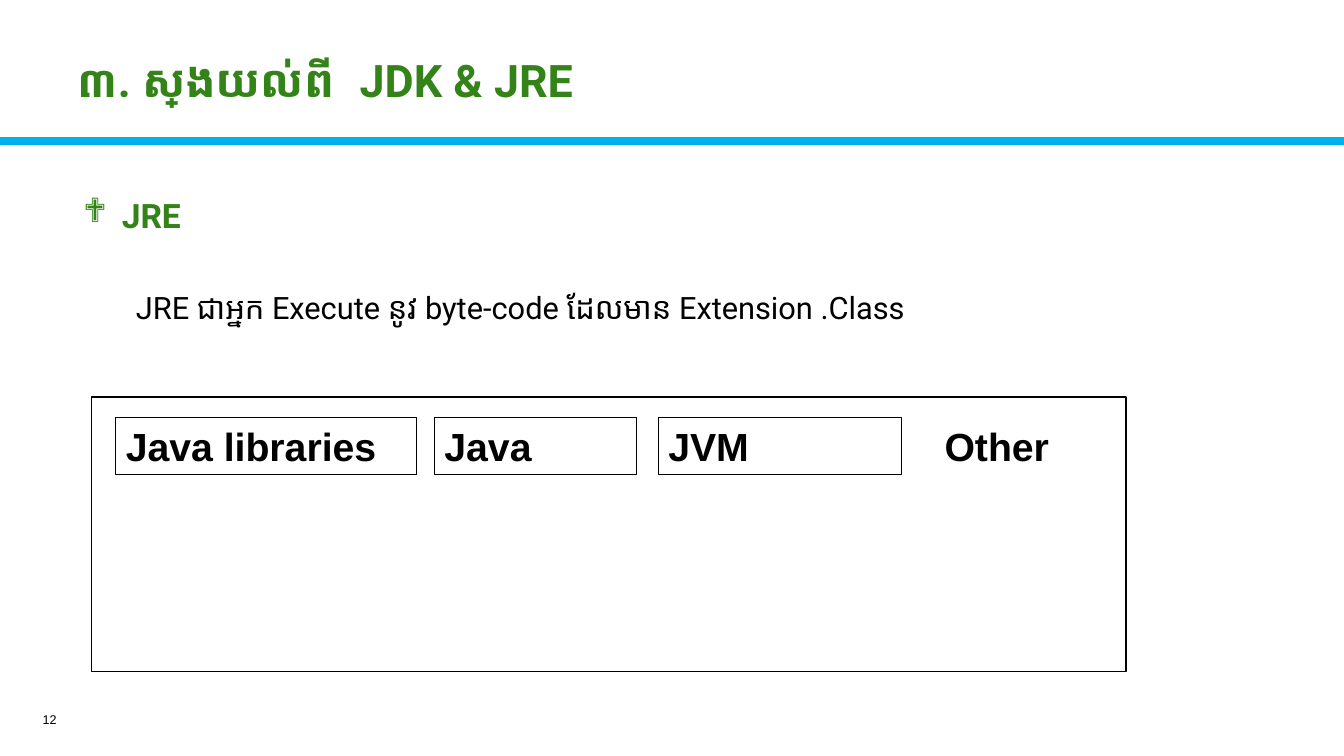
import lxml.etree
import pptx
import pptx.dml.color
import pptx.enum.shapes
import pptx.enum.text
import pptx.oxml.ns
import pptx.util

inch, pt = pptx.util.Inches, pptx.util.Pt
rgb = pptx.dml.color.RGBColor.from_string
qn = pptx.oxml.ns.qn
align = pptx.enum.text.PP_ALIGN
anchor = pptx.enum.text.MSO_ANCHOR
rect = pptx.enum.shapes.MSO_SHAPE.RECTANGLE

# Theme: colours and type styles
theme = {
    "white": "FFFFFF", "black": "000000", "green": "348319", "blue": "00B0EA",
    "title": {"name": "Roboto", "size": pt(32), "bold": True},
    "head": {"name": "Roboto", "size": pt(24), "bold": True},
    "body": {"name": "Roboto", "size": pt(22), "bold": False},
    "label": {"name": "Arial", "size": pt(28), "bold": True},
    "page": {"name": "Arial", "size": pt(9), "bold": False},
}


def place(shape, left, top, width, height):
    spot = {"left": left, "top": top, "width": width, "height": height}
    for key, val in spot.items():
        setattr(shape, key, inch(val))


def write(shape, text, style, hue="black", side=align.LEFT, hold=anchor.TOP):
    frame = shape.text_frame
    form = {"word_wrap": True, "vertical_anchor": hold,
            "auto_size": pptx.enum.text.MSO_AUTO_SIZE.NONE}
    for key, val in form.items():
        setattr(frame, key, val)
    para = frame.paragraphs[0]
    para.alignment = side
    run = para.add_run()
    run.text = text
    for key, val in theme[style].items():
        setattr(run.font, key, val)
    run.font.color.rgb = rgb(theme[hue])
    return para


# Slide
deck = pptx.Presentation()
deck.slide_width, deck.slide_height = inch(13.33), inch(7.5)
slide = deck.slides.add_slide(deck.slide_layouts[5])
shapes = slide.shapes
slide.background.fill.solid()
slide.background.fill.fore_color.rgb = rgb(theme["white"])

# Rule under the title
rule = shapes.add_connector(pptx.enum.shapes.MSO_CONNECTOR.STRAIGHT,
                            0, inch(1.4), deck.slide_width, inch(1.4))
rule.line.color.rgb = rgb(theme["blue"])
rule.line.width = pt(6)
lxml.etree.SubElement(rule.line._get_or_add_ln().getparent(), qn("a:effectLst"))

# Title
place(shapes.title, 0.67, 0.27, 12.02, 1.11)
para = write(shapes.title, "៣. ស្វែងយល់ពី  JDK & JRE", "title", "green",
             hold=anchor.MIDDLE)
para.line_spacing = 0.9

# Page number
page = shapes.add_textbox(0, 0, 0, 0)
place(page, 0.09, 6.99, 0.57, 0.3)
write(page, "12", "page", side=align.RIGHT, hold=anchor.MIDDLE)

# Heading with a diamond bullet
head = shapes.add_textbox(0, 0, 0, 0)
place(head, 0.73, 1.88, 1.6, 0.5)
props = write(head, "JRE", "head", "green")._p.get_or_add_pPr()
props.set("marL", str(inch(0.38)))
props.set("indent", str(-inch(0.38)))
lxml.etree.SubElement(props, qn("a:buFont"), typeface="Wingdings")
lxml.etree.SubElement(props, qn("a:buChar"), char="❖")

# Body text
body = shapes.add_textbox(0, 0, 0, 0)
place(body, 1.25, 2.82, 10.59, 0.47)
write(body, "JRE ជាអ្នក Execute នូវ byte-code ដែលមាន Extension .Class", "body")

# Frame and its parts: text, left, top, width, height, line width
top, high = 4.14, 0.57
parts = [
    ("", 0.91, 3.94, 10.26, 2.72, 1),
    ("Java libraries", 1.15, top, 2.98, high, 0.75),
    ("Java", 4.31, top, 2, high, 0.75),
    ("JVM", 6.53, top, 2.41, high, 0.75),
    ("Other", 9.27, top, 1.6, high, 0),
]
for text, *spot, thick in parts:
    if thick:
        box = shapes.add_shape(rect, 0, 0, 0, 0)
        box.shadow.inherit = False
        box.line.color.rgb = rgb(theme["black"])
        box.line.width = pt(thick)
    else:
        box = shapes.add_textbox(0, 0, 0, 0)
    place(box, *spot)
    if text and thick:
        box.fill.solid()
        box.fill.fore_color.rgb = rgb(theme["white"])
    else:
        box.fill.background()
    if text:
        write(box, text, "label")

deck.save("out.pptx")
